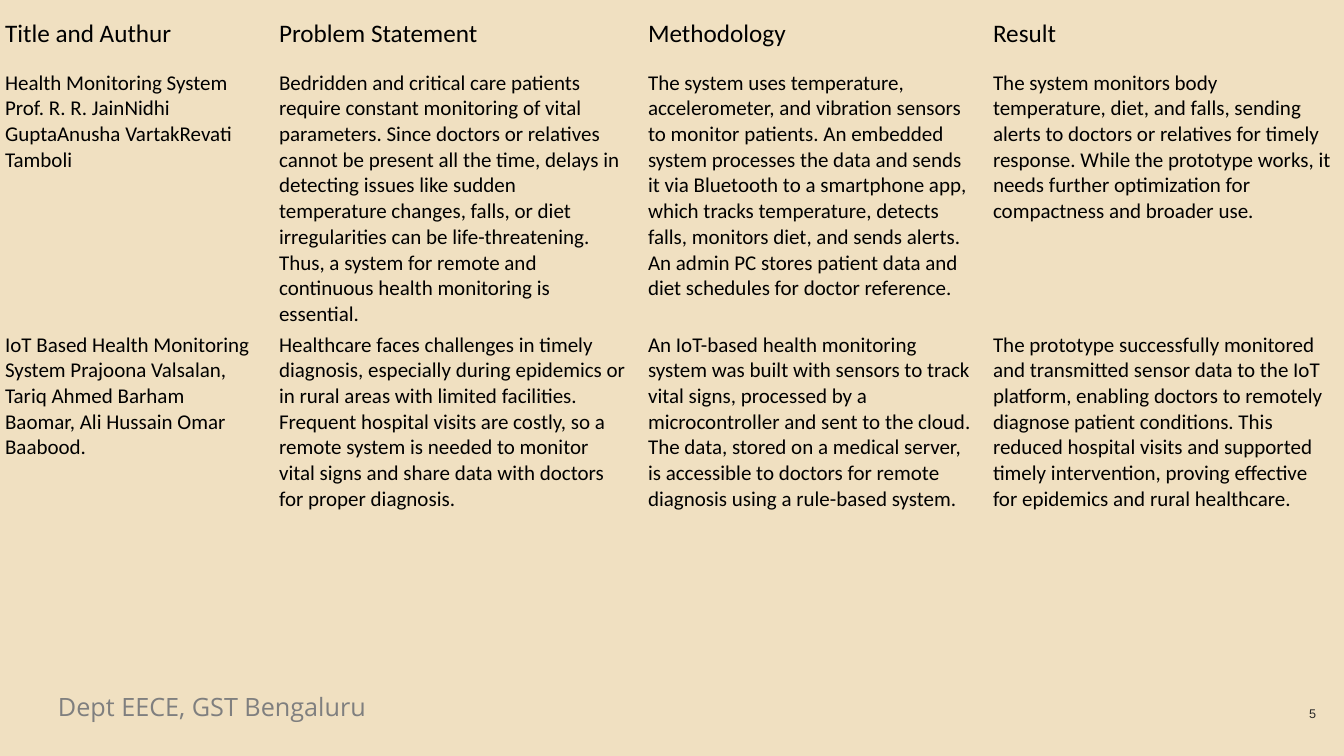
from dataclasses import dataclass

from pptx import Presentation
from pptx.dml.color import RGBColor
from pptx.enum.text import MSO_ANCHOR as Anchor, PP_ALIGN as Align
from pptx.oxml.ns import qn
from pptx.slide import Slide
from pptx.util import Emu, Pt

SLIDE_W, SLIDE_H = 1344, 756
EMU_PER_PX = 12192000 / SLIDE_W
NO_GRID_STYLE = "{2D5ABB26-0587-4C30-8999-92F81FD0307C}"


def px(n: int) -> Emu:
    return Emu(round(n * EMU_PER_PX))


@dataclass(frozen=True)
class TextStyle:
    font: str
    size: int
    color: str
    align: Align = Align.LEFT


@dataclass(frozen=True)
class Theme:
    background: str = "F0E0C1"
    heading: TextStyle = TextStyle("Calibri", 18, "000000")
    body: TextStyle = TextStyle("Calibri", 15, "000000")
    footer: TextStyle = TextStyle("Open Sans", 18, "7F7F7F")
    number: TextStyle = TextStyle("Arial", 9, "282828", Align.RIGHT)


@dataclass(frozen=True)
class Label:
    text: str
    left: int
    top: int
    width: int
    height: int
    style: TextStyle
    anchor: Anchor


THEME = Theme()

# Footer and slide number
LABELS = [
    Label("Dept EECE, GST Bengaluru", 48, 686, 528, 40, THEME.footer, Anchor.TOP),
    Label("5", 1245, 685, 81, 57, THEME.number, Anchor.MIDDLE),
]

# Literature survey table
TABLE_LEFT, TABLE_TOP = -5, 13
COL_WIDTHS = [274, 369, 345, 361]
ROW_HEIGHTS = [52, 262, 180]
SURVEY = [
    ["Title and Authur", "Problem Statement", "Methodology", "Result"],
    [
        "Health Monitoring System\n"
        "Prof. R. R. JainNidhi GuptaAnusha VartakRevati Tamboli",
        "Bedridden and critical care patients require constant monitoring of vital "
        "parameters. Since doctors or relatives cannot be present all the time, delays "
        "in detecting issues like sudden temperature changes, falls, or diet "
        "irregularities can be life-threatening. Thus, a system for remote and "
        "continuous health monitoring is essential.",
        "The system uses temperature, accelerometer, and vibration sensors to monitor "
        "patients. An embedded system processes the data and sends it via Bluetooth to "
        "a smartphone app, which tracks temperature, detects falls, monitors diet, and "
        "sends alerts. An admin PC stores patient data and diet schedules for doctor "
        "reference.",
        "The system monitors body temperature, diet, and falls, sending alerts to "
        "doctors or relatives for timely response. While the prototype works, it needs "
        "further optimization for compactness and broader use.",
    ],
    [
        "IoT Based Health Monitoring System Prajoona Valsalan, Tariq Ahmed Barham "
        "Baomar, Ali Hussain Omar Baabood.",
        "Healthcare faces challenges in timely diagnosis, especially during epidemics "
        "or in rural areas with limited facilities. Frequent hospital visits are "
        "costly, so a remote system is needed to monitor vital signs and share data "
        "with doctors for proper diagnosis.",
        "An IoT-based health monitoring system was built with sensors to track vital "
        "signs, processed by a microcontroller and sent to the cloud. The data, stored "
        "on a medical server, is accessible to doctors for remote diagnosis using a "
        "rule-based system.",
        "The prototype successfully monitored and transmitted sensor data to the IoT "
        "platform, enabling doctors to remotely diagnose patient conditions. This "
        "reduced hospital visits and supported timely intervention, proving effective "
        "for epidemics and rural healthcare.",
    ],
]


def write(tf, text: str, style: TextStyle) -> None:
    tf.text = text
    for p in tf.paragraphs:
        p.alignment = style.align
        p.font.name = style.font
        p.font.size = Pt(style.size)
        p.font.color.rgb = RGBColor.from_string(style.color)


def add_label(s: Slide, label: Label) -> None:
    box = (label.left, label.top, label.width, label.height)
    tf = s.shapes.add_textbox(*map(px, box)).text_frame
    tf.word_wrap = True
    tf.vertical_anchor = label.anchor
    write(tf, label.text, label.style)


def add_survey(s: Slide) -> None:
    frame = s.shapes.add_table(
        len(ROW_HEIGHTS), len(COL_WIDTHS), px(TABLE_LEFT), px(TABLE_TOP),
        px(sum(COL_WIDTHS)), px(sum(ROW_HEIGHTS)),
    )
    frame.element.find(".//" + qn("a:tableStyleId")).text = NO_GRID_STYLE
    table = frame.table
    table.first_row = table.horz_banding = False
    for col, width in zip(table.columns, COL_WIDTHS):
        col.width = px(width)
    for i, (row, height, texts) in enumerate(zip(table.rows, ROW_HEIGHTS, SURVEY)):
        row.height = px(height)
        for cell, text in zip(row.cells, texts):
            cell.fill.background()
            cell.margin_bottom = 0
            write(cell.text_frame, text, THEME.body if i else THEME.heading)


def main() -> None:
    prs = Presentation()
    prs.slide_width, prs.slide_height = px(SLIDE_W), px(SLIDE_H)
    s = prs.slides.add_slide(prs.slide_layouts[6])
    s.background.fill.solid()
    s.background.fill.fore_color.rgb = RGBColor.from_string(THEME.background)
    for label in LABELS:
        add_label(s, label)
    add_survey(s)
    prs.save("out.pptx")


if __name__ == "__main__":
    main()
